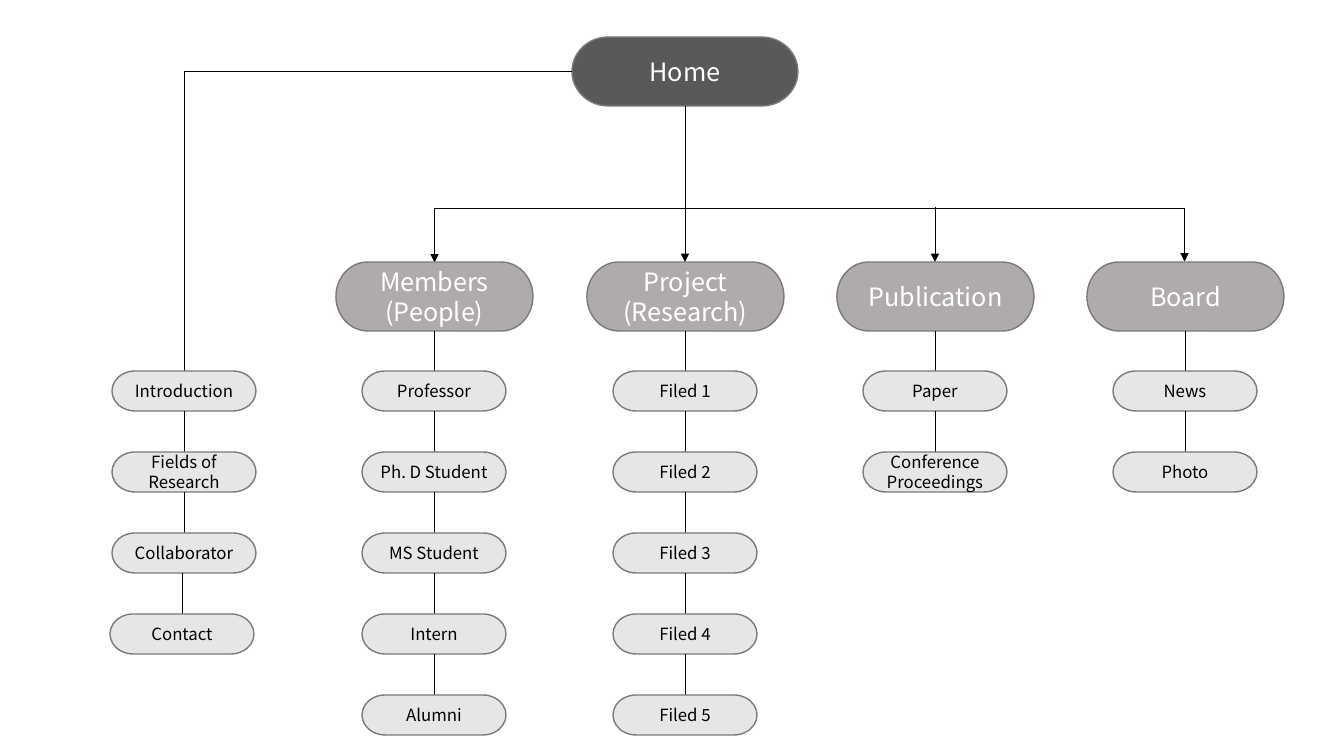
from lxml import etree
from pptx import Presentation
from pptx.dml.color import RGBColor
from pptx.enum.shapes import MSO_CONNECTOR, MSO_SHAPE
from pptx.enum.text import MSO_ANCHOR, PP_ALIGN
from pptx.oxml.ns import qn
from pptx.util import Pt

SCALE = 914400 / 100.8
PILL = MSO_SHAPE.FLOWCHART_TERMINATOR
STRAIGHT = MSO_CONNECTOR.STRAIGHT
ELBOW = MSO_CONNECTOR.ELBOW
CENTER = PP_ALIGN.CENTER
MIDDLE = MSO_ANCHOR.MIDDLE
FONT = "Noto Sans CJK KR"

HOME_MID, HOME_TOP, HOME_WIDE = 685, 37, 226
HEAD_TOP, HEAD_WIDE, HEAD_HIGH = 262, 197, 69
ITEM_TOP, ITEM_WIDE, ITEM_HIGH, ITEM_STEP = 371, 144, 40, 81
BAR_Y = 207
FIRST_MID, COLUMN_STEP = 184, 250.33

COLUMNS = [
    (None, ["Introduction", "Fields of\vResearch", "Collaborator", "Contact"]),
    ("Members\v(People)",
     ["Professor", "Ph. D Student", "MS Student", "Intern", "Alumni"]),
    ("Project\v(Research)", [f"Filed {n}" for n in range(1, 6)]),
    ("Publication", ["Paper", "Conference Proceedings"]),
    ("Board", ["News", "Photo"]),
]


def px(length):
    return round(length * SCALE)


def color(code):
    return RGBColor.from_string(code)


def node(slide, text, mid, top, wide, high, fill, ink, size):
    box = (mid - wide // 2, top, wide, high)
    shape = slide.shapes.add_shape(PILL, *map(px, box))
    shape.shadow.inherit = False
    shape.fill.solid()
    shape.fill.fore_color.rgb = color(fill)
    shape.line.color.rgb = color("7A7A7A")
    shape.line.width = Pt(1)
    frame = shape.text_frame
    frame.word_wrap = True
    frame.vertical_anchor = MIDDLE
    frame.text = text
    para = frame.paragraphs[0]
    para.alignment = CENTER
    para.font.name = FONT
    para.font.size = Pt(size)
    para.font.color.rgb = color(ink)


def link(slide, start, end, kind=STRAIGHT, arrows=()):
    line = slide.shapes.add_connector(kind, *map(px, start + end))
    line.line.color.rgb = color("000000")
    line.line.width = Pt(0.5)
    props = line._element.spPr
    for tag in arrows:
        etree.SubElement(props.find(qn("a:ln")), qn(tag), type="triangle")
    etree.SubElement(props, qn("a:effectLst"))
    return props


def corner(slide, start, end):
    props = link(slide, start, end, ELBOW)
    props.find(qn("a:prstGeom")).set("prst", "bentConnector2")


def bracket(slide, left, right, bottom, top):
    mid, half = (left + right) // 2, (right - left) // 2
    props = link(slide, (mid + 1, bottom + half), (mid, bottom - half),
                 ELBOW, ("a:headEnd", "a:tailEnd"))
    props.find(qn("a:xfrm")).set("rot", str(90 * 60000))
    guides = props.find(qn("a:prstGeom")).find(qn("a:avLst"))
    etree.SubElement(guides, qn("a:gd"), name="adj1",
                     fmla=f"val {(bottom - top) * 100000}")


def column(slide, mid, head, items):
    if head:
        node(slide, head, mid, HEAD_TOP, HEAD_WIDE, HEAD_HIGH,
             "AFABAB", "FFFFFF", 18)
    bottom = HEAD_TOP + HEAD_HIGH if head else None
    for row, item in enumerate(items):
        top = ITEM_TOP + row * ITEM_STEP
        spot = mid - 2 if item == "Contact" else mid
        if bottom:
            link(slide, (spot, bottom), (spot, top))
        node(slide, item, spot, top, ITEM_WIDE, ITEM_HIGH,
             "E7E6E6", "000000", 12)
        bottom = top + ITEM_HIGH


def main():
    deck = Presentation()
    deck.slide_width, deck.slide_height = px(1344), px(756)
    slide = deck.slides.add_slide(deck.slide_layouts[6])
    mids = [round(FIRST_MID + n * COLUMN_STEP) for n in range(len(COLUMNS))]

    node(slide, "Home", HOME_MID, HOME_TOP, HOME_WIDE, HEAD_HIGH,
         "595959", "FFFFFF", 18)
    corner(slide, (HOME_MID - HOME_WIDE // 2, HOME_TOP + HEAD_HIGH // 2),
           (mids[0], ITEM_TOP))
    link(slide, (HOME_MID, HOME_TOP + HEAD_HIGH), (HOME_MID, BAR_Y))
    bracket(slide, mids[1], mids[-1], HEAD_TOP, BAR_Y)
    for mid in mids[2:-1]:
        link(slide, (mid, BAR_Y), (mid, HEAD_TOP), arrows=("a:tailEnd",))
    for mid, (head, items) in zip(mids, COLUMNS):
        column(slide, mid, head, items)
    deck.save("out.pptx")


main()
